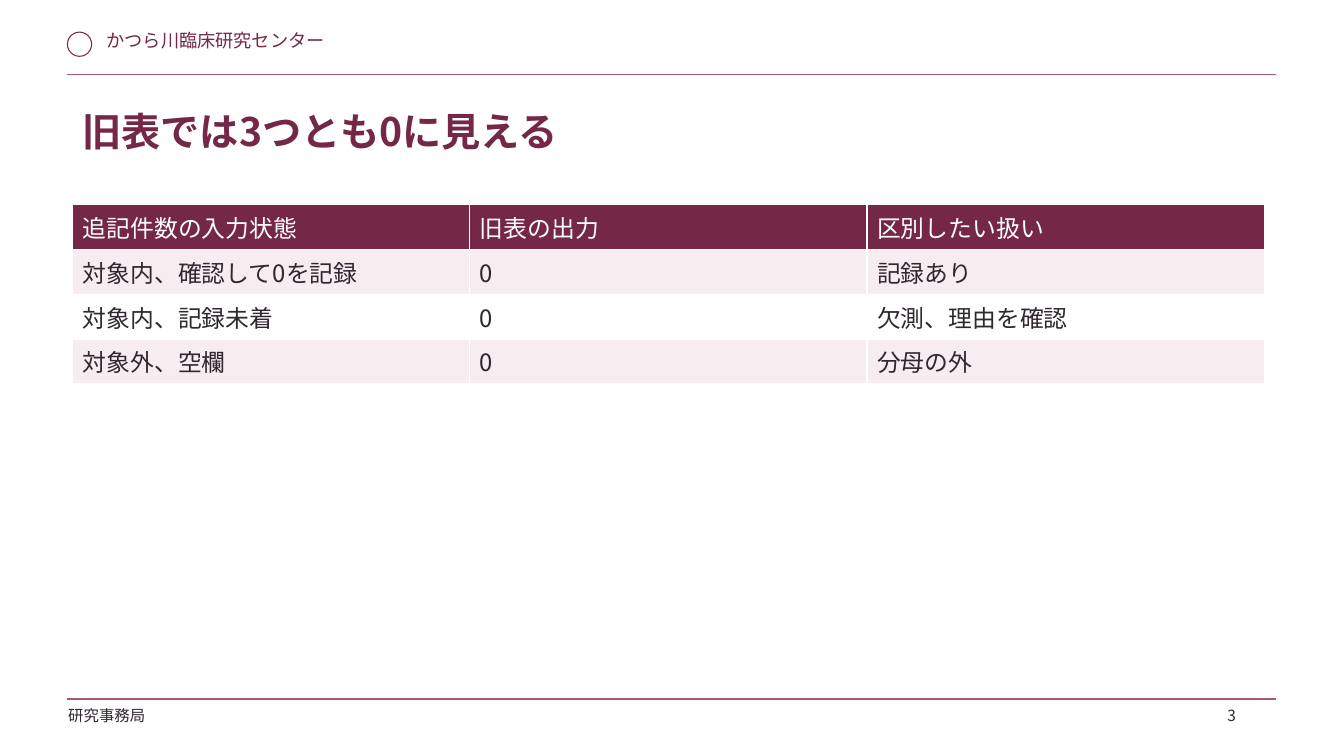
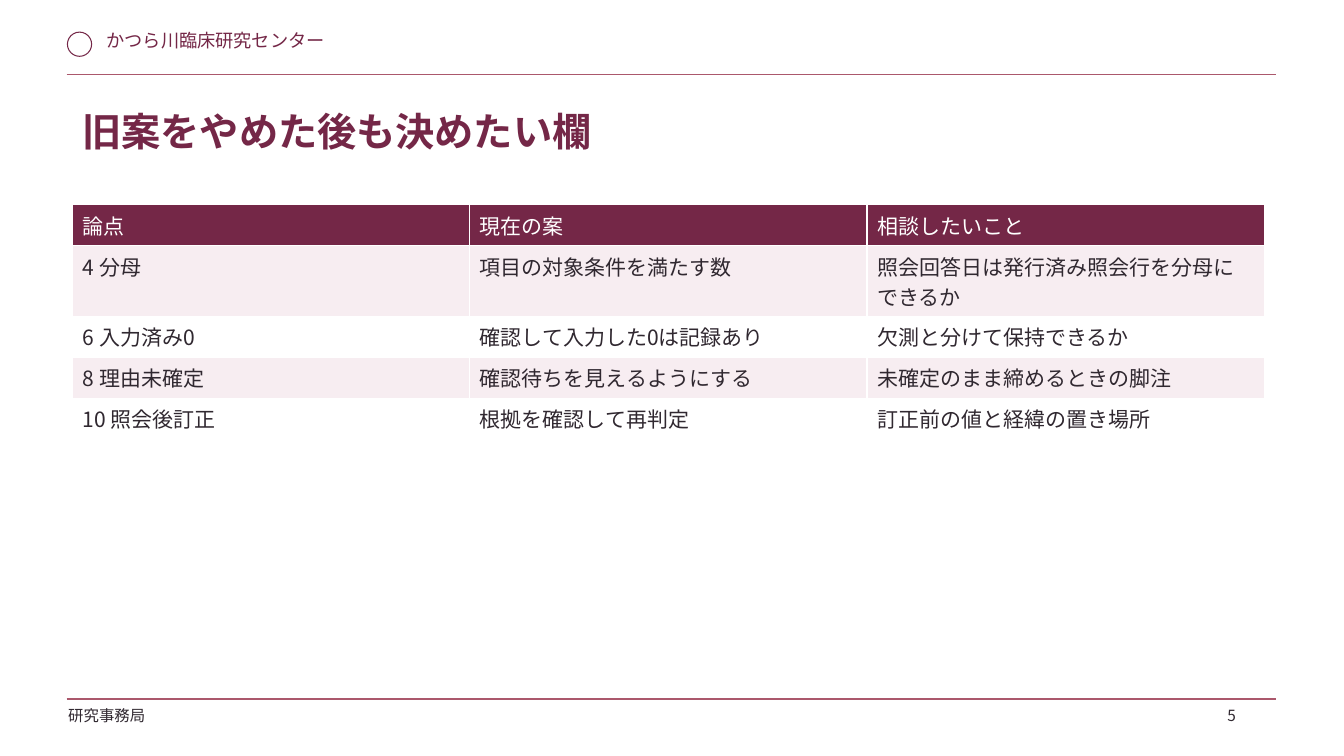
"""Build two table slides that share a header, footer and title style."""
from dataclasses import dataclass

from lxml.etree import SubElement
from pptx import Presentation
from pptx.dml.color import RGBColor
from pptx.enum.lang import MSO_LANGUAGE_ID
from pptx.enum.shapes import MSO_CONNECTOR, MSO_SHAPE
from pptx.enum.text import MSO_ANCHOR, MSO_AUTO_SIZE, PP_ALIGN
from pptx.oxml.ns import qn
from pptx.util import Cm, Pt

WINE = RGBColor(0x74, 0x27, 0x47)
ROSE = RGBColor(0xAB, 0x58, 0x6C)
INK = RGBColor(0x30, 0x28, 0x30)
BLUSH = RGBColor(0xF7, 0xED, 0xF1)
WHITE = RGBColor(0xFF, 0xFF, 0xFF)
FONT = "Noto Sans CJK JP"


@dataclass
class Box:
    """A rectangle on the slide, in centimetres."""
    left: float
    top: float
    width: float
    height: float

    def inner(self, left, top, width, height):
        """Return a box placed relative to this one."""
        return Box(self.left + left, self.top + top, width, height)

    def lengths(self):
        """Return left, top, width and height as lengths."""
        return [Cm(side) for side in (self.left, self.top, self.width, self.height)]


PAGE = Box(0, 0, 33.87, 19.05)
HEADER = Box(1.68, 0.71, 30.48, 1.16)
TITLE = Box(1.83, 2.59, 30.23, 2.06)
TABLE = Box(1.83, 5.16, 30.03, 1.03)
FOOTER = Box(1.68, 17.61, 30.48, 1.05)

TITLE_FRAME = {"vertical_anchor": MSO_ANCHOR.TOP, "auto_size": MSO_AUTO_SIZE.NONE,
               "word_wrap": True, "margin_left": Cm(0.25), "margin_right": Cm(0.25),
               "margin_top": Cm(0.25), "margin_bottom": Cm(0.25)}
TITLE_PARAGRAPH = {"alignment": PP_ALIGN.LEFT, "line_spacing": 0.9}
LABEL_PARAGRAPH = {"alignment": PP_ALIGN.LEFT, "line_spacing": 0.85}

SLIDES = [
    {"title": "旧表では3つとも0に見える", "page": "3", "size": 17, "rows": [
        ("追記件数の入力状態", "旧表の出力", "区別したい扱い"),
        ("対象内、確認して0を記録", "0", "記録あり"),
        ("対象内、記録未着", "0", "欠測、理由を確認"),
        ("対象外、空欄", "0", "分母の外")]},
    {"title": "旧案をやめた後も決めたい欄", "page": "5", "size": 15, "rows": [
        ("論点", "現在の案", "相談したいこと"),
        ("4 分母", "項目の対象条件を満たす数", "照会回答日は発行済み照会行を分母にできるか"),
        ("6 入力済み0", "確認して入力した0は記録あり", "欠測と分けて保持できるか"),
        ("8 理由未確定", "確認待ちを見えるようにする", "未確定のまま締めるときの脚注"),
        ("10 照会後訂正", "根拠を確認して再判定", "訂正前の値と経緯の置き場所")]},
]


def apply(target, formats):
    """Set each attribute named in a dict of format values."""
    for attribute, value in formats.items():
        setattr(target, attribute, value)


def write(paragraph, text, size, color, bold=False):
    """Write one run in the deck font."""
    run = paragraph.add_run()
    run.text = text
    apply(run.font, {"name": FONT, "size": Pt(size), "bold": bold,
                     "language_id": MSO_LANGUAGE_ID.JAPANESE})
    run.font.color.rgb = color
    SubElement(run.font._element, qn("a:ea"), typeface=FONT)


def add_label(slide, box, text, size, color):
    """Add a one-line label."""
    label = slide.shapes.add_textbox(*box.lengths())
    label.text_frame.word_wrap = True
    paragraph = label.text_frame.paragraphs[0]
    apply(paragraph, LABEL_PARAGRAPH)
    write(paragraph, text, size, color)
    return label


def add_rule(slide, box, down):
    """Add a thin rule across a box, the given distance below its top."""
    y = Cm(box.top + down)
    rule = slide.shapes.add_connector(
        MSO_CONNECTOR.STRAIGHT, Cm(box.left), y, Cm(box.left + box.width), y)
    rule.line.color.rgb = ROSE
    rule.line.width = Pt(1)
    SubElement(rule.element.spPr, qn("a:effectLst"))
    return rule


def add_header(slide, box):
    """Add the ring, the centre name and the rule below them."""
    ring = slide.shapes.add_shape(MSO_SHAPE.OVAL, *box.inner(0.02, 0.1, 0.61, 0.61).lengths())
    ring.shadow.inherit = False
    ring.fill.background()
    ring.line.color.rgb = WINE
    ring.line.width = Pt(0.75)
    center_name = add_label(slide, box.inner(0.76, 0, 8.38, 0.89),
                            "かつら川臨床研究センター", 13, WINE)
    return [ring, center_name, add_rule(slide, box, box.height)]


def add_footer(slide, box):
    """Add the rule and the office name below it."""
    office = add_label(slide, box.inner(-0.21, 0.14, 4.57, 0.91), "研究事務局", 11, INK)
    return [add_rule(slide, box, 0), office]


def set_up_layout(layout):
    """Keep only the title on the layout and place it."""
    for placeholder in list(layout.placeholders):
        if placeholder.placeholder_format.idx:
            layout.shapes.element.remove(placeholder.element)
    title = layout.placeholders[0]
    apply(title, dict(zip(("left", "top", "width", "height"), TITLE.lengths())))


def share_bands(slide):
    """Move the header and footer to the layout of a slide."""
    for part in add_header(slide, HEADER) + add_footer(slide, FOOTER):
        slide.slide_layout.shapes.element.append(part.element)


def fill_title(slide, text):
    """Write and format the title."""
    frame = slide.shapes.title.text_frame
    apply(frame, TITLE_FRAME)
    apply(frame.paragraphs[0], TITLE_PARAGRAPH)
    write(frame.paragraphs[0], text, 28, WINE, bold=True)


def add_rows(slide, box, rows, size):
    """Add a banded table whose rows each have the height of the box."""
    area = box.inner(0, 0, box.width, box.height * len(rows))
    table = slide.shapes.add_table(len(rows), len(rows[0]), *area.lengths()).table
    for row_index, row in enumerate(rows):
        fill, color = (WINE, WHITE) if row_index == 0 else ((WHITE, BLUSH)[row_index % 2], INK)
        for column_index, text in enumerate(row):
            cell = table.cell(row_index, column_index)
            cell.fill.solid()
            cell.fill.fore_color.rgb = fill
            write(cell.text_frame.paragraphs[0], text, size, color)


def add_table_slide(slide, content):
    """Fill a slide with a title, a table and a page number."""
    fill_title(slide, content["title"])
    add_rows(slide, TABLE, content["rows"], content["size"])
    add_label(slide, FOOTER.inner(29, 0.14, 1.27, 0.76), content["page"], 11, INK)


def main():
    """Build and save the presentation."""
    deck = Presentation()
    deck.slide_width, deck.slide_height = PAGE.lengths()[2:]
    layout = deck.slide_layouts.get_by_name("Title Only")
    set_up_layout(layout)
    slides = [deck.slides.add_slide(layout) for _ in SLIDES]
    share_bands(slides[0])
    for slide, content in zip(slides, SLIDES):
        add_table_slide(slide, content)
    deck.save("out.pptx")


if __name__ == "__main__":
    main()
